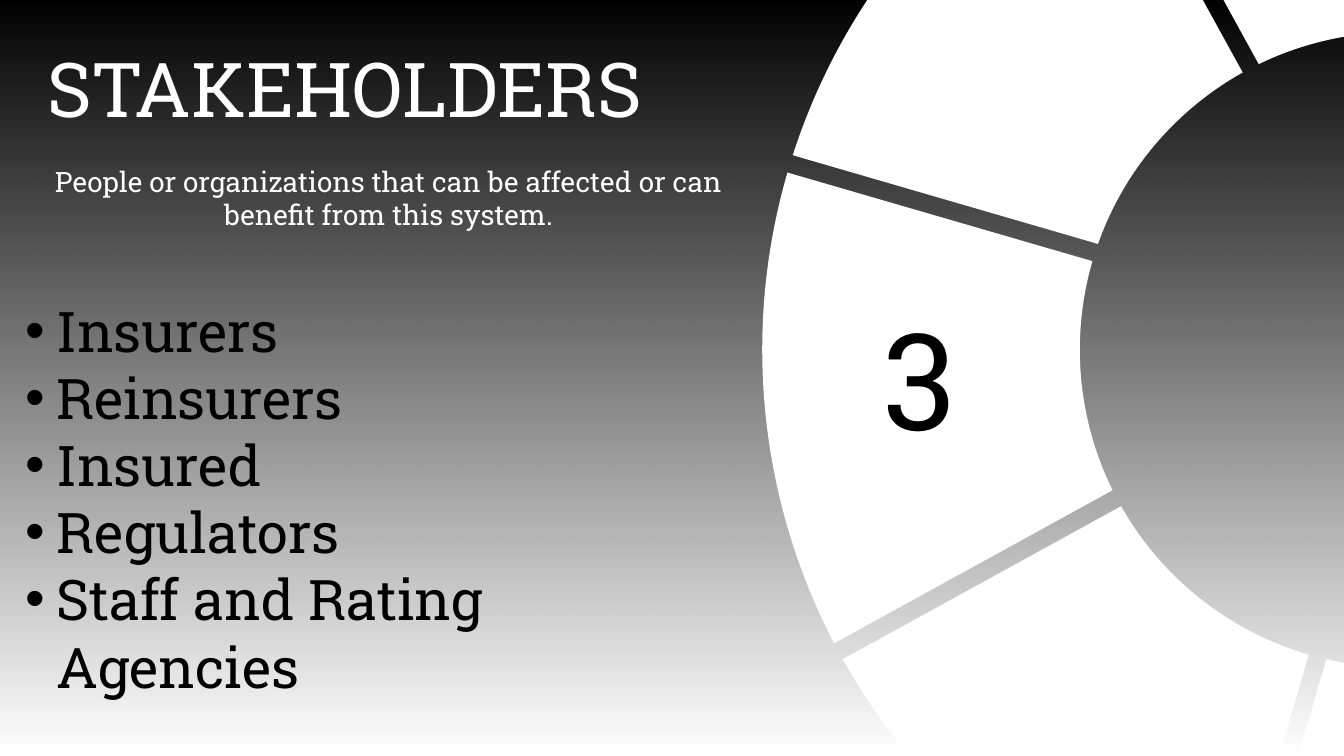
"""Builds the stakeholders slide: a fading backdrop, a split ring and a list."""
from math import asin, atan, cos, degrees, hypot, radians, sin, tan
from lxml import etree
from pptx import Presentation
from pptx.dml.color import RGBColor
from pptx.enum.shapes import MSO_SHAPE
from pptx.enum.text import MSO_AUTO_SIZE, PP_ALIGN
from pptx.oxml.ns import qn
from pptx.util import Inches, Pt

BLACK = RGBColor(0, 0, 0)
WHITE = RGBColor(255, 255, 255)
FONT = "Roboto Slab"
RECT = MSO_SHAPE.RECTANGLE
GROW = MSO_AUTO_SIZE.SHAPE_TO_FIT_TEXT
LEFT, CENTER = PP_ALIGN.LEFT, PP_ALIGN.CENTER
WIDE, HIGH = 13.33, 7.5

deck = Presentation()
deck.slide_width, deck.slide_height = Inches(WIDE), Inches(HIGH)
slide = deck.slides.add_slide(deck.slide_layouts[6])
shapes = slide.shapes


def arc(size, start, end):
    """Return the Bezier points of a circular arc drawn as two curves."""
    half = (end - start) / 2
    pull = 4 / 3 * tan(radians(half) / 4)
    reach, lean = size * hypot(1, pull), degrees(atan(pull))
    spots = [(size, start)]
    for turn in (start, start + half):
        spots += [(reach, turn + lean), (reach, turn + half - lean), (size, turn + half)]
    return [(UNIT * (MID_X + r * cos(radians(t))), UNIT * (MID_Y + r * sin(radians(t))))
            for r, t in spots]


def write(box, lines, size, color, align=LEFT):
    """Add a text box with one paragraph per line."""
    frame = shapes.add_textbox(*map(Inches, box)).text_frame
    frame.word_wrap = True
    frame.auto_size = GROW
    frame.text = "\n".join(lines)
    for para in frame.paragraphs:
        para.alignment = align
        font = para.runs[0].font
        font.name, font.size, font.color.rgb = FONT, Pt(size), color
    return frame


back = shapes.add_shape(RECT, 0, 0, deck.slide_width, deck.slide_height)
back.shadow.inherit = False
back.line.fill.background()
back.fill.gradient()
back.fill.gradient_angle = 270
for stop in back.fill.gradient_stops:
    stop.color.rgb = BLACK
fade = list(back._element.iter(qn("a:srgbClr")))[-1]
etree.SubElement(fade, qn("a:alpha")).set("val", "0")

MID_X, MID_Y = 13.86, 3.47
OUTER, INNER = 6.3, 3.15
COUNT, TILT, HALF = 8, 16.2, 0.09
UNIT = 1000
SHIFTS = [-0.09, -0.07, -0.09, 0.05]
spokes = SHIFTS + [-shift for shift in SHIFTS]
step = 360 / COUNT

ring = None
for i in range(COUNT):
    near = spokes[i] + HALF
    far = spokes[(i + 1) % COUNT] - HALF
    first = TILT + i * step
    rims = []
    for size in (OUTER, INNER):
        start = first + degrees(asin(near / size))
        end = first + step + degrees(asin(far / size))
        rims.append(arc(size, start, end))
    points = rims[0] + rims[1][::-1]
    if ring is None:
        ring = shapes.build_freeform(*points[0], scale=Inches(1) / UNIT)
    else:
        ring.move_to(*points[0])
    ring.add_line_segments(points[1:], close=False)
    ring.add_line_segments([], close=True)
wheel = ring.convert_to_shape()
wheel.shadow.inherit = False
wheel.fill.solid()
wheel.fill.fore_color.rgb = WHITE
wheel.line.fill.background()

lines = list(wheel._element.iter(qn("a:lnTo")))
each = len(lines) // COUNT
for i in range(COUNT):
    for at in (0, 3, 7, 10):
        trio = lines[i * each + at:i * each + at + 3]
        curve = etree.Element(qn("a:cubicBezTo"))
        trio[0].addprevious(curve)
        for line in trio:
            curve.append(line[0])
            line.getparent().remove(line)

write((0.37, 0.37, 7.34, 1.01), ["STAKEHOLDERS"], 54, WHITE)
write((0, 1.58, 7.71, 0.77),
      ["People or organizations that can be affected or can benefit from this system."],
      20, WHITE, CENTER)
write((8.66, 2.89, 1.35, 1.72), ["3"], 96, BLACK)

groups = ["Insurers", "Reinsurers", "Insured", "Regulators", "Staff and Rating Agencies"]
roster = write((0.15, 2.89, 7.22, 4.14), groups, 40, BLACK)
for para in roster.paragraphs:
    props = para._p.get_or_add_pPr()
    props.set("marL", str(Inches(0.31)))
    props.set("indent", str(-Inches(0.31)))
    etree.SubElement(props, qn("a:buFont")).set("typeface", "Arial")
    etree.SubElement(props, qn("a:buChar")).set("char", "•")

deck.save("out.pptx")
